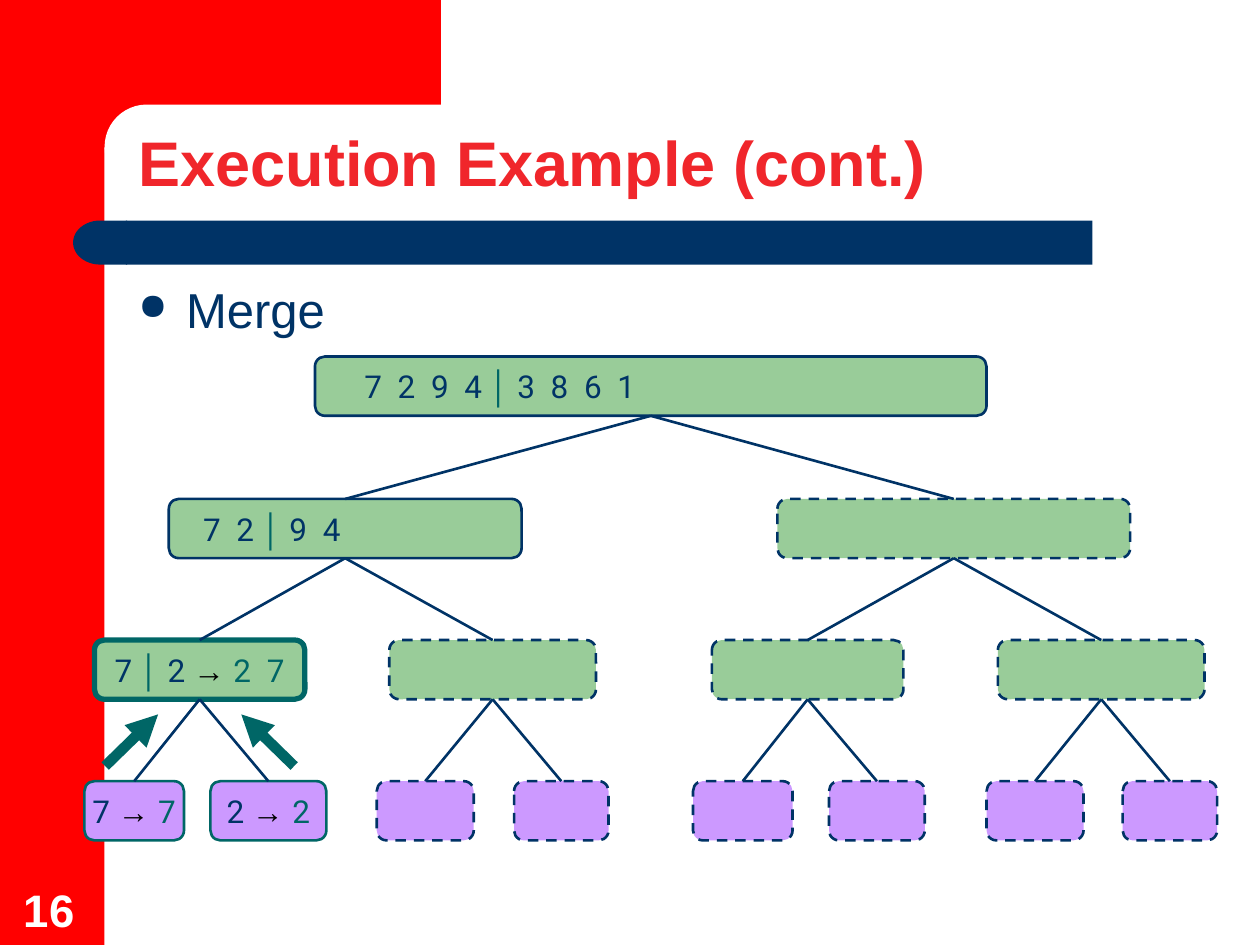
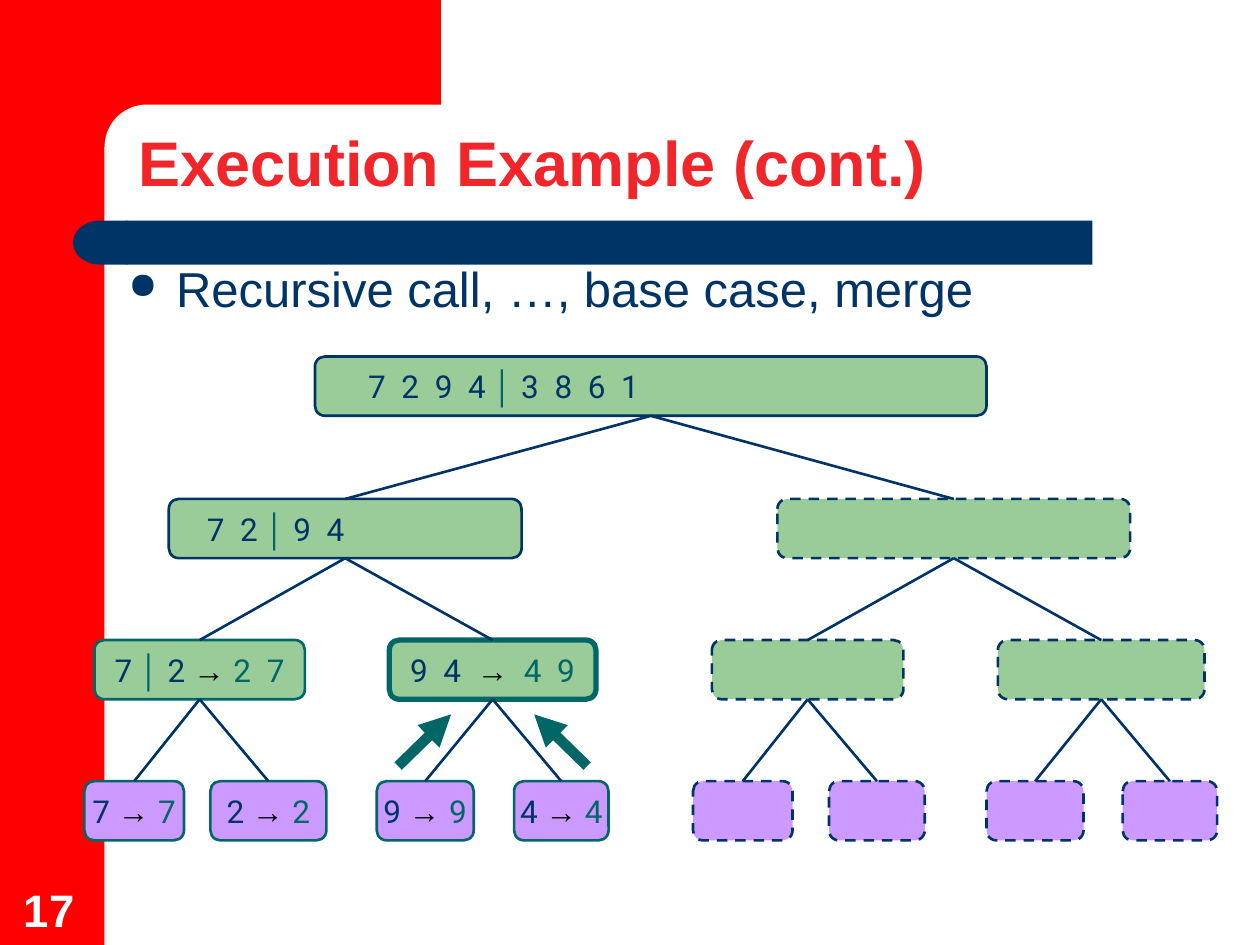
import lxml.etree
import pptx
import pptx.dml.color
import pptx.enum.dml
import pptx.enum.shapes
import pptx.enum.text
import pptx.oxml.ns
import pptx.util

Inches = pptx.util.Inches
Pt = pptx.util.Pt
RGBColor = pptx.dml.color.RGBColor
Shape = pptx.enum.shapes.MSO_SHAPE
Align = pptx.enum.text.PP_ALIGN
Anchor = pptx.enum.text.MSO_ANCHOR
qn = pptx.oxml.ns.qn

# Colours and fonts
RED = RGBColor(0xFF, 0x00, 0x00)
TITLE_RED = RGBColor(0xF0, 0x26, 0x2B)
NAVY = RGBColor(0x00, 0x33, 0x66)
TEAL = RGBColor(0x00, 0x66, 0x66)
GREEN = RGBColor(0x99, 0xCC, 0x99)
PURPLE = RGBColor(0xCC, 0x99, 0xFF)
WHITE = RGBColor(0xFF, 0xFF, 0xFF)
BLACK = RGBColor(0x00, 0x00, 0x00)
TEXT_FONT = "Arial"
NUMBER_FONT = "Roboto"

# Merge tree: top, fill and (left, width) of the boxes on each level
BOX_HEIGHT = 0.47
LEVELS = [
    (2.83, GREEN, [(2.5, 5.33)]),
    (3.96, GREEN, [(1.34, 2.8), (6.17, 2.8)]),
    (5.08, GREEN, [(0.75, 1.67), (3.09, 1.64), (5.65, 1.52), (7.92, 1.64)]),
    (6.2, PURPLE, [(0.67, 0.79), (1.67, 0.92), (2.99, 0.77), (4.08, 0.75),
                   (5.5, 0.79), (6.58, 0.76), (7.83, 0.77), (8.91, 0.75)]),
]

# Box labels by position in the tree, counted level by level
SPLIT_LABELS = {
    0: ["7  2  9  4 ", "│", " 3  8  6  1"],
    1: ["7  2 ", "│", " 9  4"],
}
FIRST_MERGE = {
    3: ["7 ", "│", " 2 ", "→ ", "2  7"],
    7: ["7 ", "→ ", "7"],
    8: ["2 ", "→ ", "2"],
}
SECOND_MERGE = {
    4: ["9  4  ", "→", "  4  9"],
    9: ["9 ", "→ ", "9"],
    10: ["4 ", "→", " 4"],
}

# Slide number, step, step position, labels, merging box, split label insets
STEPS = [
    (16, "Merge", (1, 2.17), SPLIT_LABELS | FIRST_MERGE, 3, (0.37, 0.25)),
    (17, "Recursive call, …, base case, merge", (0.92, 2),
     SPLIT_LABELS | FIRST_MERGE | SECOND_MERGE, 4, (0.4, 0.28)),
]


class SlideBuilder:
    def __init__(self, deck):
        self.deck = deck
        self.page = None

    def new_page(self, title, number):
        self.page = self.deck.slides.add_slide(self.deck.slide_layouts[5])
        self.backdrop()
        self.title(title)
        box = self.text(str(number), 0.09, 6.94, 0.64, 0.54, 26, WHITE, bold=True)
        box.text_frame.vertical_anchor = Anchor.BOTTOM

    def style(self, span, size, color, font=TEXT_FONT, bold=False):
        span.font.name = font
        span.font.size = Pt(size)
        span.font.bold = bold
        span.font.color.rgb = color

    def shape(self, kind, left, top, width, height, fill, corner=None):
        shape = self.page.shapes.add_shape(
            kind, Inches(left), Inches(top), Inches(width), Inches(height))
        shape.shadow.inherit = False
        shape.fill.solid()
        shape.fill.fore_color.rgb = fill
        shape.line.fill.background()
        if corner is not None:
            shape.adjustments[0] = corner
        return shape

    def backdrop(self):
        self.shape(Shape.RECTANGLE, 0, 0, 0.83, 7.5, RED)
        self.shape(Shape.RECTANGLE, 0.75, 0, 2.75, 1.17, RED)
        self.shape(Shape.ROUNDED_RECTANGLE, 0.83, 0.83, 5.58, 0.67, WHITE, 0.5)
        self.shape(Shape.RECTANGLE, 1, 1.75, 7.67, 0.35, NAVY)
        cap = self.shape(Shape.FLOWCHART_DELAY, 0.58, 1.75, 0.43, 0.35, NAVY)
        cap.rotation = 180

    def title(self, text):
        box = self.page.shapes.title
        box.left, box.top = Inches(1), Inches(1)
        box.width, box.height = Inches(8.75), Inches(0.64)
        frame = box.text_frame
        frame.text = text
        frame.vertical_anchor = Anchor.BOTTOM
        para = frame.paragraphs[0]
        para.alignment = Align.LEFT
        para.line_spacing = 0.9
        self.style(para.runs[0], 36, TITLE_RED, bold=True)
        # Bring the title in front of the backdrop
        box.element.getparent().append(box.element)

    def text(self, text, left, top, width, height, size, color, bold=False):
        box = self.page.shapes.add_textbox(
            Inches(left), Inches(top), Inches(width), Inches(height))
        box.text_frame.word_wrap = True
        box.text_frame.text = text
        self.style(box.text_frame.paragraphs[0].runs[0], size, color, bold=bold)
        return box

    def bullet(self, text, left, top):
        box = self.text(text, left, top, 8.5, 0.57, 28, NAVY)
        para = box.text_frame.paragraphs[0]
        para.space_before = Pt(7)
        properties = para._p.get_or_add_pPr()
        properties.set("marL", str(Inches(0.38)))
        properties.set("indent", str(-Inches(0.38)))
        color = lxml.etree.SubElement(properties, qn("a:buClr"))
        lxml.etree.SubElement(color, qn("a:srgbClr"), val=str(NAVY))
        lxml.etree.SubElement(properties, qn("a:buSzPct"), val="75000")
        lxml.etree.SubElement(properties, qn("a:buChar"), char="●")

    def tree_box(self, left, top, width, fill, label, merging, inset):
        box = self.shape(Shape.ROUNDED_RECTANGLE, left, top, width, BOX_HEIGHT,
                         fill, 0.167)
        solved = any("→" in piece for piece in label)
        box.line.color.rgb = TEAL if solved else NAVY
        box.line.width = Pt(3 if merging else 1.5)
        if label:
            self.label(box.text_frame, label, inset)
        else:
            box.line.dash_style = pptx.enum.dml.MSO_LINE.DASH
        return box

    def label(self, frame, pieces, inset):
        frame.vertical_anchor = Anchor.MIDDLE
        frame.word_wrap = inset is not None
        para = frame.paragraphs[0]
        para.alignment = Align.CENTER
        if inset is not None:
            para.alignment = Align.LEFT
            frame.margin_left = Inches(inset)
        number_color = NAVY
        for piece in pieces:
            span = para.add_run()
            span.text = piece
            if "│" in piece:
                self.style(span, 18, TEAL, bold=True)
            elif "→" in piece:
                self.style(span, 18, BLACK, bold=True)
                number_color = TEAL
            else:
                self.style(span, 18, number_color, NUMBER_FONT)

    def connector(self, start, end, color, width):
        line = self.page.shapes.add_connector(
            pptx.enum.shapes.MSO_CONNECTOR.STRAIGHT,
            *(Inches(value) for value in (*start, *end)))
        line.line.color.rgb = color
        line.line.width = Pt(width)
        lxml.etree.SubElement(line._element.spPr, qn("a:effectLst"))
        return line

    def branch(self, parent, child):
        line = self.connector((0, 0), (0, 0), NAVY, 1.5)
        line.begin_connect(parent, 2)
        line.end_connect(child, 0)

    def merge_arrows(self, center):
        for side in (-1, 1):
            arrow = self.connector((center + side * 0.75, 6.08),
                                   (center + side * 0.33, 5.67), TEAL, 6)
            lxml.etree.SubElement(arrow.line._get_or_add_ln(), qn("a:tailEnd"),
                                  type="triangle")

    def tree(self, labels, merging, insets):
        boxes = []
        for top, fill, spans in LEVELS:
            for left, width in spans:
                index = len(boxes)
                inset = insets[index] if index in SPLIT_LABELS else None
                boxes.append(self.tree_box(left, top, width, fill,
                                           labels.get(index, []),
                                           index == merging, inset))
                if index:
                    self.branch(boxes[(index - 1) // 2], boxes[index])
                if index == merging:
                    self.merge_arrows(left + width / 2)


def main():
    deck = pptx.Presentation()
    deck.slide_width, deck.slide_height = Inches(10), Inches(7.5)
    builder = SlideBuilder(deck)
    for number, step, position, labels, merging, insets in STEPS:
        builder.new_page("Execution Example (cont.)", number)
        builder.bullet(step, *position)
        builder.tree(labels, merging, insets)
    deck.save("out.pptx")


if __name__ == "__main__":
    main()
